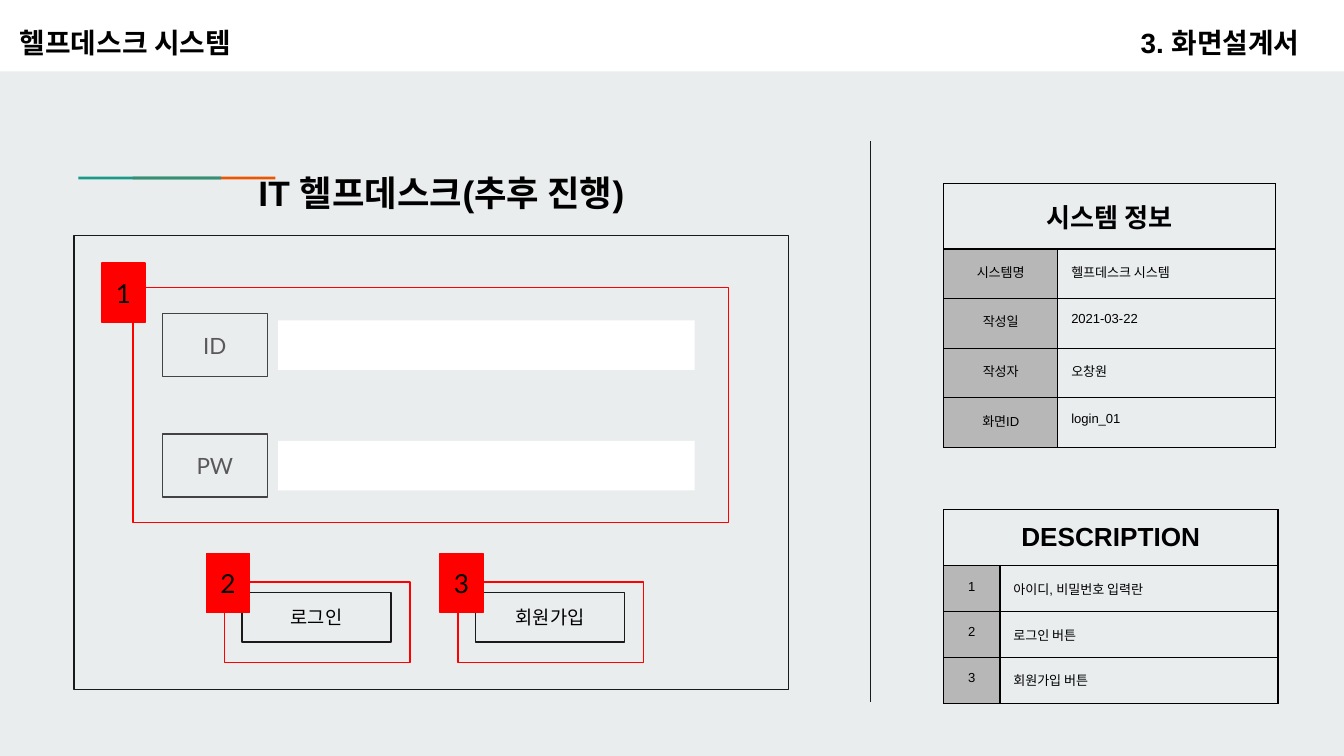
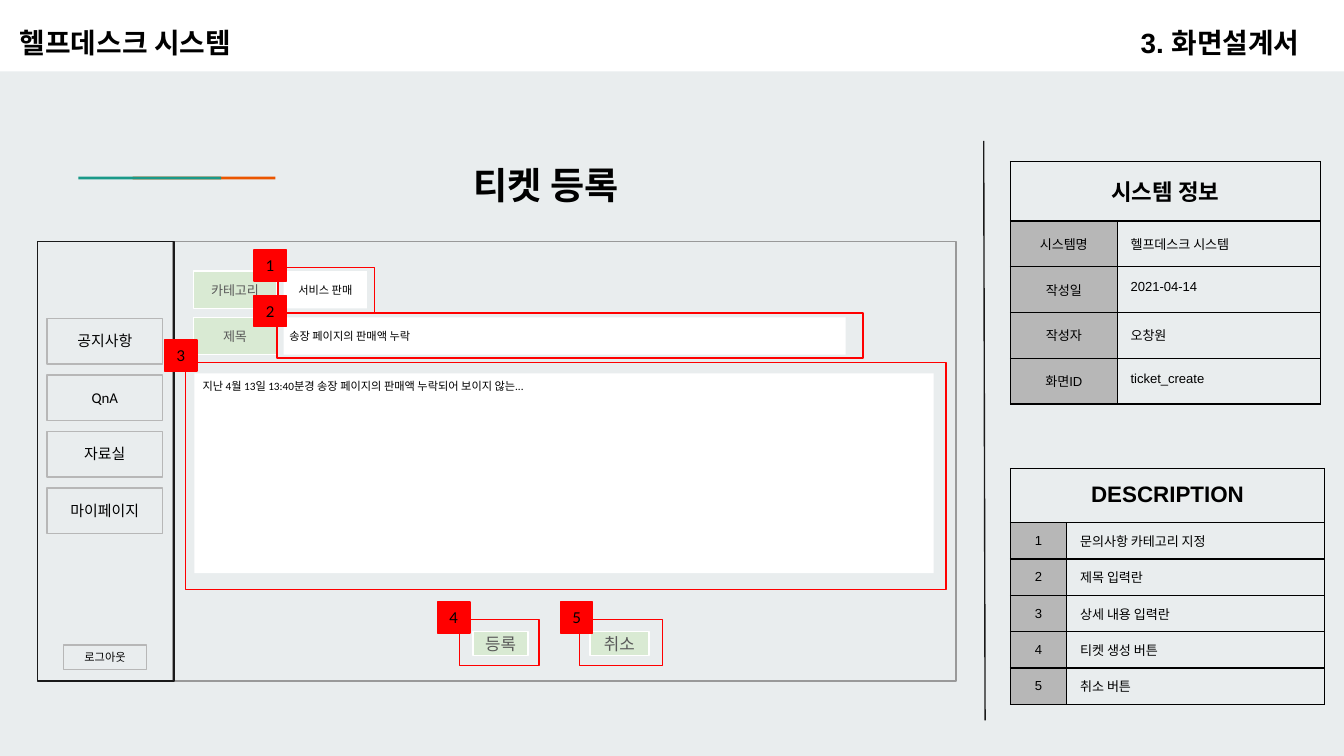
from lxml import etree
from pptx import Presentation
from pptx import util as u
from pptx.dml.color import RGBColor
from pptx.enum import shapes, text
from pptx.oxml import ns, parse_xml

Pt = u.Pt
LEFT, CENTER = text.PP_ALIGN.LEFT, text.PP_ALIGN.CENTER
TOP, MIDDLE = text.MSO_ANCHOR.TOP, text.MSO_ANCHOR.MIDDLE
COLORS = {
    "page": "E9EDEE", "white": "FFFFFF", "black": "000000", "ink": "1A1A1A",
    "teal": "1A9988", "orange": "EB5600", "red": "FF0000", "green": "D9EAD3",
    "label": "595959", "label edge": "434343", "gray": "B7B7B7", "panel": "999999",
}
RGB = {name: RGBColor.from_string(value) for name, value in COLORS.items()}


def write(target, words, size, font="Arial", color="black", bold=False, align=CENTER):
    target.text = words
    for paragraph in target.paragraphs:
        paragraph.alignment = align
        for run in paragraph.runs:
            run.font.size, run.font.name, run.font.bold = Pt(size), font, bold
            run.font.color.rgb = RGB[color]


def box(slide, area, fill=None, line=None, words="", size=8, font="Lato",
        color="black", align=CENTER, anchor=MIDDLE, pad=3):
    shape = slide.shapes.add_shape(shapes.MSO_SHAPE.RECTANGLE, *map(Pt, area))
    shape.shadow.inherit = False
    if fill:
        shape.fill.solid()
        shape.fill.fore_color.rgb = RGB[fill]
    else:
        shape.fill.background()
    if line:
        shape.line.color.rgb = RGB[line]
        shape.line.width = Pt(0.75)
    else:
        shape.line.fill.background()
    if words:
        frame = shape.text_frame
        frame.margin_left = frame.margin_right = Pt(pad)
        frame.margin_top = frame.margin_bottom = Pt(pad)
        frame.vertical_anchor = anchor
        write(frame, words, size, font, color, align=align)
    return shape


deck = Presentation()
deck.slide_width, deck.slide_height = Pt(720), Pt(405)
layout = deck.slide_layouts[5]
layout.background.fill.solid()
layout.background.fill.fore_color.rgb = RGB["page"]

screens = [
    {
        "title": "IT 헬프데스크(추후 진행)", "title size": 18.9,
        "title area": (70.5, 70.5, 332, 65.5), "title pad": 7.2,
        "divider": (466.5, 75.5, 466.5, 376),
        "heading size": 14,
        "info": {"at": (505.5, 98.5), "cols": (61.2, 116.6), "head": 27.4, "row": 26.6, "pad": 7.2},
        "date": "2021-03-22", "id": "login_01",
        "description": {"at": (505.5, 273), "cols": (30.2, 149), "head": 25.2, "row": 19, "pad": 7.2},
        "notes": ["아이디, 비밀번호 입력란", "로그인 버튼", "회원가입 버튼"],
    },
    {
        "title": "티켓 등록", "title size": 19.9,
        "title area": (152, 68.5, 281.5, 61), "title pad": 3,
        "divider": (527, 75.5, 527.75, 386),
        "heading size": 12,
        "info": {"at": (541.3, 86.5), "cols": (57.2, 108.8), "head": 29, "row": 23, "pad": 7.2},
        "date": "2021-04-14", "id": "ticket_create",
        "description": {"at": (541.3, 251), "cols": (30.2, 138.2), "head": 29, "row": 19.5, "pad": 3},
        "notes": ["문의사항 카테고리 지정", "제목 입력란", "상세 내용 입력란", "티켓 생성 버튼", "취소 버튼"],
    },
]

for screen in screens:
    slide = screen["slide"] = deck.slides.add_slide(layout)
    if screen is screens[0]:
        for area, color in (((0, 0, 720, 38.3), "white"),
                            ((71, 94.6, 76.5, 1.6), "orange"),
                            ((42, 94.6, 76.5, 1.6), "teal")):
            layout.shapes.element.append(box(slide, area, color).element)

    title = slide.shapes.title
    title.left, title.top, title.width, title.height = map(Pt, screen["title area"])
    system = slide.shapes.add_textbox(Pt(3.6), Pt(4.3), Pt(236), Pt(34))
    chapter = slide.shapes.add_textbox(Pt(604), Pt(4.3), Pt(116), Pt(34))
    for heading, words, size, align, pad in (
            (title, screen["title"], screen["title size"], CENTER, screen["title pad"]),
            (system, "헬프데스크 시스템", 14.9, LEFT, 7.2),
            (chapter, "3. 화면설계서", 14.9, LEFT, 7.2)):
        frame = heading.text_frame
        frame.word_wrap = True
        frame.auto_size = text.MSO_AUTO_SIZE.NONE
        frame.vertical_anchor = MIDDLE
        frame.margin_left = frame.margin_right = Pt(pad)
        frame.margin_top = frame.margin_bottom = Pt(pad)
        write(frame, words, size, bold=True, align=align)
        if heading is not title:
            frame.paragraphs[0].line_spacing = 1.15

    divider = slide.shapes.add_connector(
        shapes.MSO_CONNECTOR.STRAIGHT, *map(Pt, screen["divider"]))
    divider.line.color.rgb = RGB["ink"]
    divider.line.width = Pt(0.75)
    etree.SubElement(divider.element.spPr, ns.qn("a:effectLst"))

    info_rows = [("시스템명", "헬프데스크 시스템"), ("작성일", screen["date"]),
                 ("작성자", "오창원"), ("화면ID", screen["id"])]
    note_rows = [(str(number), note) for number, note in enumerate(screen["notes"], 1)]
    for heading, grid, rows in (("시스템 정보", screen["info"], info_rows),
                                ("DESCRIPTION", screen["description"], note_rows)):
        height = grid["head"] + grid["row"] * len(rows)
        table = slide.shapes.add_table(
            len(rows) + 1, 2, *map(Pt, (*grid["at"], sum(grid["cols"]), height))).table
        table.first_row = table.horz_banding = False
        for column, width in zip(table.columns, grid["cols"]):
            column.width = Pt(width)
        table.cell(0, 0).merge(table.cell(0, 1))
        for r, values in enumerate([(heading, ""), *rows]):
            table.rows[r].height = Pt(grid["row"] if r else grid["head"])
            for c, value in enumerate(values):
                cell = table.cell(r, c)
                for side in ("lnL", "lnR", "lnT", "lnB"):
                    cell._tc.get_or_add_tcPr().append(parse_xml(
                        f'<a:{side} {ns.nsdecls("a")} w="9525"><a:solidFill>'
                        f'<a:srgbClr val="{COLORS["black"]}"/></a:solidFill></a:{side}>'))
                if r and c == 0:
                    cell.fill.solid()
                    cell.fill.fore_color.rgb = RGB["gray"]
                else:
                    cell.fill.background()
                pad = grid["pad"] if r else 7.2
                cell.margin_left = cell.margin_right = Pt(7.2)
                cell.margin_top = cell.margin_bottom = Pt(pad)
                cell.vertical_anchor = MIDDLE if pad == 3 else TOP
                if value:
                    write(cell.text_frame, value, 7 if r else screen["heading size"],
                          bold=r == 0, align=LEFT if r and c else CENTER)

login, ticket = (screen["slide"] for screen in screens)

box(login, (39.6, 126, 383, 243.4), line="ink")
box(login, (71.3, 154, 319, 126), line="red")
for row, label in enumerate(("ID", "PW")):
    top = 168 + 64.6 * row
    box(login, (87, top, 56.2, 33.8), line="label edge", words=label, size=12, color="label")
    box(login, (149, top + 3.6, 223.2, 26.6), "white")
badges = [("1", 54.7, 141)]
for column, action in enumerate(("로그인", "회원가입")):
    left = 120.2 + 125.1 * column
    box(login, (left, 311.8, 99.4, 43.2), line="red")
    box(login, (left + 9.4, 317.5, 80, 26.6), line="ink", words=action, size=10,
        anchor=TOP, pad=7.2)
    badges.append((str(column + 2), left - 9.6, 296.6))
for number, left, top in badges:
    box(login, (left, top, 23, 31.7), "red", "red", number, size=14, pad=0)

box(ticket, (92.4, 129.5, 419.8, 235.4), line="panel")
box(ticket, (20, 129.5, 73.2, 235.4), line="ink")
for row, menu in enumerate(("공지사항", "QnA", "자료실", "마이페이지")):
    box(ticket, (25.2, 170.6 + 30.3 * row, 62, 24.5), line="gray", words=menu,
        font="Calibri", anchor=TOP, pad=7.2)
box(ticket, (34, 345.6, 44.6, 13), line="gray", words="로그아웃", size=6,
    font="Calibri", anchor=TOP)

for top, label, entry, width, align in (
        (145.3, "카테고리", "서비스 판매", 44.6, CENTER),
        (170, "제목", "송장 페이지의 판매액 누락", 301, LEFT)):
    box(ticket, (103.6, top, 44.6, 20), "green", "white", label, size=7, color="label")
    box(ticket, (152, top, width, 20), "white", words=entry, size=6,
        font="Calibri", align=align)
box(ticket, (104.2, 200, 396, 107), "white",
    words=" 지난 4월 13일 13:40분경 송장 페이지의 판매액 누락되어 보이지 않는...",
    size=6, font="Calibri", align=LEFT, anchor=TOP)
for left, action, width in ((253.4, "등록", 29.5), (316, "취소", 31.7)):
    box(ticket, (left, 338.2, width, 13), "green", "white", action, size=9, color="label")

marks = [
    ((149, 143.5, 51.8, 24.5), (136.1, 134)),
    ((148.3, 167.6, 314, 24.3), (136.1, 158.4)),
    ((99.2, 194.3, 407.6, 121.4), (88.3, 182.2)),
    ((246.2, 332, 42.5, 24.5), (234.5, 322.6)),
    ((310.3, 332, 44.6, 24.5), (300.3, 322.6)),
]
for number, (outline, corner) in enumerate(marks, 1):
    box(ticket, outline, line="red")
    box(ticket, (*corner, 17.3, 16.6), "red", "red", str(number), pad=0)

deck.save("out.pptx")
